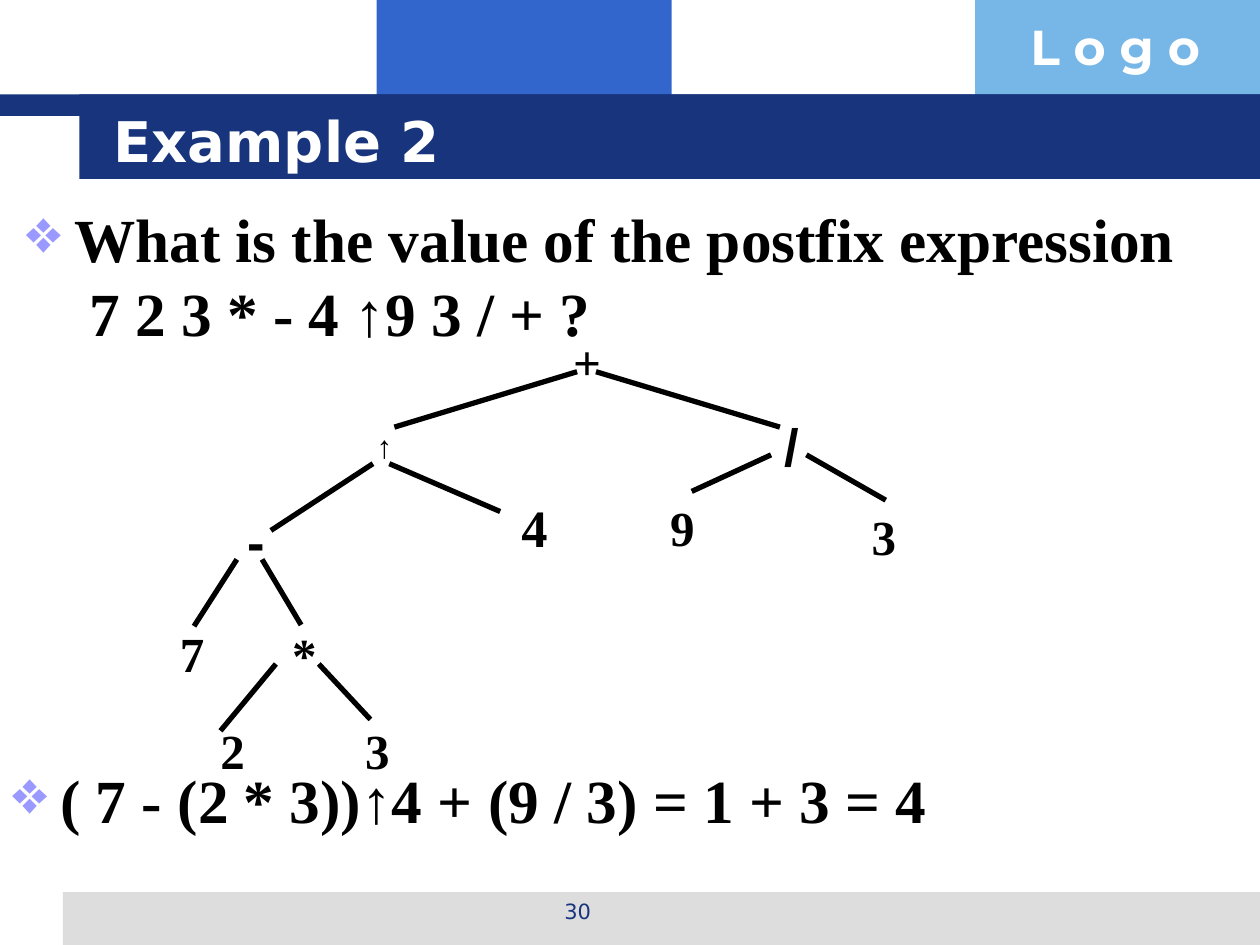
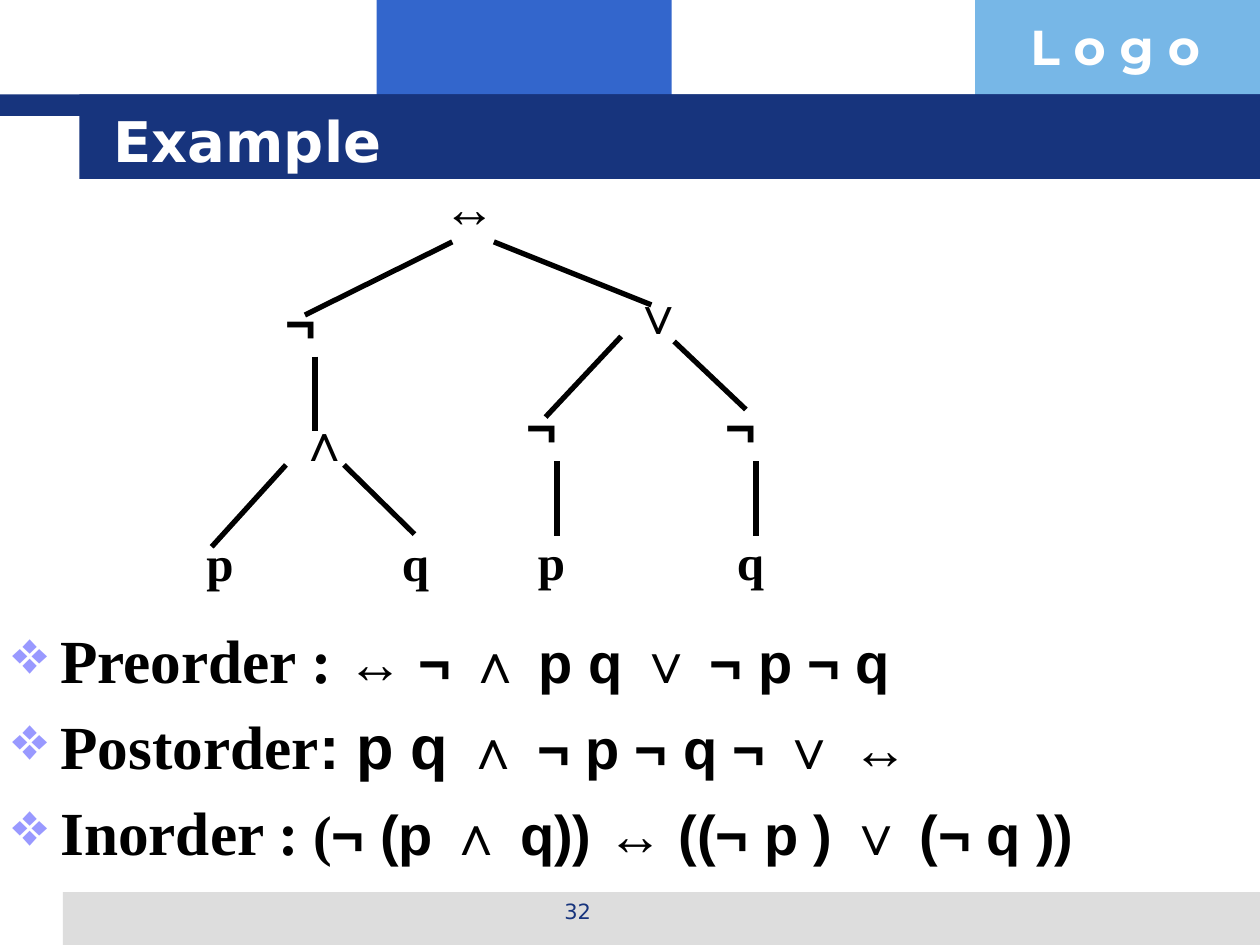
import pptx
import pptx.util
import pptx.dml.color
import pptx.enum.shapes
import pptx.enum.text
import pptx.oxml
import pptx.oxml.ns
import lxml.etree

Inches = pptx.util.Inches
Pt = pptx.util.Pt
RGBColor = pptx.dml.color.RGBColor
ALIGN = pptx.enum.text.PP_ALIGN
ANCHOR = pptx.enum.text.MSO_ANCHOR
FIT = pptx.enum.text.MSO_AUTO_SIZE

NAVY = RGBColor(0x17, 0x34, 0x7D)
BLUE = RGBColor(0x33, 0x66, 0xCC)
SKY = RGBColor(0x77, 0xB7, 0xE7)
GREY = RGBColor(0xDD, 0xDD, 0xDD)
WHITE = RGBColor(0xFF, 0xFF, 0xFF)
BLACK = RGBColor(0, 0, 0)
LILAC = RGBColor(0x99, 0x99, 0xFF)

SERIF, SANS, HEAD, MARK = "Times New Roman", "Arial", "DejaVu Sans", "Montserrat"
SIGNS = "↑-/∧∨¬↔"  # nodes set in the sans font

BANDS = [
    (2.99, 0, 2.34, 0.92, BLUE),
    (7.74, 0, 2.26, 0.92, SKY),
    (0.5, 7.08, 9.5, 0.42, GREY),
    (0, 0.75, 10, 0.17, NAVY),
    (0.63, 0.75, 9.37, 0.67, NAVY),
]

# A bullet is a list of runs: (text, size, font).
# A node is (text, left, top, width[, size]); an edge is (x1, y1, x2, y2).
SLIDES = [
    {
        "title": "Example 2",
        "number": "30",
        "lists": [
            ((0.11, 1.55, 9.83, 1.28), [
                [("What is the value of the postfix expression\n 7 2 3 * - 4 ↑9 3 / + ?", 35, SERIF)],
            ]),
            ((0, 6, 9.83, 1.28), [
                [("( 7 - (2 * 3))↑4 + (9 / 3) = 1 + 3 = 4", 35, SERIF)],
            ]),
        ],
        "nodes": [
            ("+", 4.45, 2.58, 0.42),
            ("↑", 2.89, 3.34, 0.45, 18),
            ("/", 6.13, 3.24, 0.32),
            ("-", 1.87, 3.99, 0.34),
            ("4", 4.04, 3.88, 0.41, 30),
            ("9", 5.22, 3.9, 0.39),
            ("3", 6.82, 3.97, 0.39),
            ("7", 1.33, 4.9, 0.4),
            ("*", 2.22, 4.91, 0.4),
            ("2", 1.65, 5.67, 0.4),
            ("3", 2.8, 5.67, 0.4),
        ],
        "edges": [
            (4.58, 2.95, 3.13, 3.39), (4.73, 2.95, 6.19, 3.39),
            (2.96, 3.68, 2.15, 4.21), (3.09, 3.68, 3.97, 4.06),
            (6.12, 3.61, 5.49, 3.9), (6.4, 3.61, 7.03, 3.97),
            (1.88, 4.44, 1.54, 4.97), (2.08, 4.44, 2.39, 4.96),
            (2.19, 5.27, 1.75, 5.8), (2.53, 5.27, 2.94, 5.71),
        ],
    },
    {
        "title": "Example",
        "number": "32",
        "lists": [
            ((0, 4.89, 9.72, 2.11), [
                [("Preorder : ", 35, SERIF), ("↔ ¬ ∧ p q ∨ ¬ p ¬ q", 32, SANS)],
                [("Postorder", 35, SERIF), (": p q ", 35, SANS), ("∧ ¬ p ¬ q ¬ ∨ ↔", 32, SANS)],
                [("Inorder :", 35, SERIF), (" (", 32, SERIF),
                 ("¬ (p ∧ q)) ↔ ((¬ p ) ∨ (¬ q ))", 32, SANS)],
            ]),
        ],
        "nodes": [
            ("↔", 3.42, 1.34, 0.64),
            ("¬", 2.17, 2.25, 0.5),
            ("∨", 4.92, 2.19, 0.45),
            ("∧", 2.27, 3.2, 0.45),
            ("¬", 4.08, 3.08, 0.5),
            ("¬", 5.66, 3.08, 0.5),
            ("p", 1.54, 4.18, 0.42),
            ("q", 3.09, 4.18, 0.42),
            ("p", 4.17, 4.17, 0.42),
            ("q", 5.75, 4.17, 0.42),
        ],
        "edges": [
            (3.59, 1.92, 2.42, 2.5), (3.92, 1.92, 5.17, 2.42),
            (2.5, 2.83, 2.5, 3.42),
            (4.93, 2.67, 4.33, 3.31), (5.35, 2.71, 5.92, 3.25),
            (2.27, 3.69, 1.68, 4.34), (2.73, 3.69, 3.29, 4.24),
            (4.42, 3.66, 4.42, 4.25), (6, 3.66, 6, 4.25),
        ],
    },
]


def add_run(para, text, size, font, color, bold):
    """Add text to a paragraph; each newline becomes a line break."""
    for i, line in enumerate(text.split("\n")):
        if i:
            para.add_line_break()
        run = para.add_run()
        run.text = line
        run.font.size = Pt(size)
        run.font.name = font
        run.font.bold = bold
        run.font.color.rgb = color


def add_mark(para):
    """Give a paragraph the diamond bullet and its hanging indent."""
    para.space_before = Pt(7)
    props = para._p.get_or_add_pPr()
    props.set("marL", str(Inches(0.38)))
    props.set("indent", str(Inches(-0.38)))
    qn = pptx.oxml.ns.qn
    tint = lxml.etree.SubElement(props, qn("a:buClr"))
    lxml.etree.SubElement(tint, qn("a:srgbClr")).set("val", str(LILAC))
    lxml.etree.SubElement(props, qn("a:buChar")).set("char", "❖")


def add_text(slide, text, box, size=28, font=SERIF, color=BLACK, bold=True,
             align=ALIGN.LEFT, wrap=True, shape=None):
    """Write a string, or a list of bullets, in a new text box or a given shape."""
    place = [Inches(v) for v in box]
    if shape is None:
        shape = slide.shapes.add_textbox(*place)
    else:
        shape.left, shape.top, shape.width, shape.height = place
    frame = shape.text_frame
    frame.word_wrap = wrap
    frame.auto_size = FIT.NONE if wrap else FIT.SHAPE_TO_FIT_TEXT
    plain = isinstance(text, str)
    for i, runs in enumerate([[(text, size, font)]] if plain else text):
        para = frame.add_paragraph() if i else frame.paragraphs[0]
        para.alignment = align
        if not plain:
            add_mark(para)
        for part in runs:
            add_run(para, *part, color, bold)
    return frame


def add_band(slide, left, top, width, height, color):
    band = slide.shapes.add_shape(
        pptx.enum.shapes.MSO_SHAPE.RECTANGLE,
        Inches(left), Inches(top), Inches(width), Inches(height))
    band.shadow.inherit = False
    band.fill.solid()
    band.fill.fore_color.rgb = color
    band.line.fill.background()


def add_edge(slide, *ends):
    edge = slide.shapes.add_connector(
        pptx.enum.shapes.MSO_CONNECTOR.STRAIGHT, *[Inches(v) for v in ends])
    edge.line.color.rgb = BLACK
    edge.line.width = Pt(3)
    lxml.etree.SubElement(edge._element.spPr, pptx.oxml.ns.qn("a:effectLst"))


def add_node(slide, text, left, top, width, size=None):
    sign = text in SIGNS
    size = size or (30 if sign else 28)
    height = size / 60 + 0.1
    add_text(slide, text, (left, top, width, height), size=size,
             font=SANS if sign else SERIF, wrap=False)


def add_frame(slide, title, number):
    """Draw the bands, the title and the footer that all slides share."""
    for band in BANDS:
        add_band(slide, *band)
    add_text(slide, "L o g o", (8.08, 0.08, 1.93, 0.57), font=MARK, color=WHITE)
    add_text(slide, number, (3.42, 7.08, 2.33, 0.35), size=12, font=HEAD,
             color=NAVY, bold=False, align=ALIGN.CENTER)
    head = slide.shapes.title
    slide.shapes._spTree.append(head._element)  # bring in front of the bands
    frame = add_text(slide, title, (0.8, 0.8, 8.53, 0.62), size=32, font=HEAD,
                     color=WHITE, shape=head)
    frame.vertical_anchor = ANCHOR.MIDDLE


def main():
    deck = pptx.Presentation()
    deck.slide_width, deck.slide_height = Inches(10), Inches(7.5)
    for page in SLIDES:
        slide = deck.slides.add_slide(deck.slide_layouts[5])
        add_frame(slide, page["title"], page["number"])
        for box, items in page["lists"]:
            add_text(slide, items, box)
        for edge in page["edges"]:
            add_edge(slide, *edge)
        for node in page["nodes"]:
            add_node(slide, *node)
    deck.save("out.pptx")


if __name__ == "__main__":
    main()
